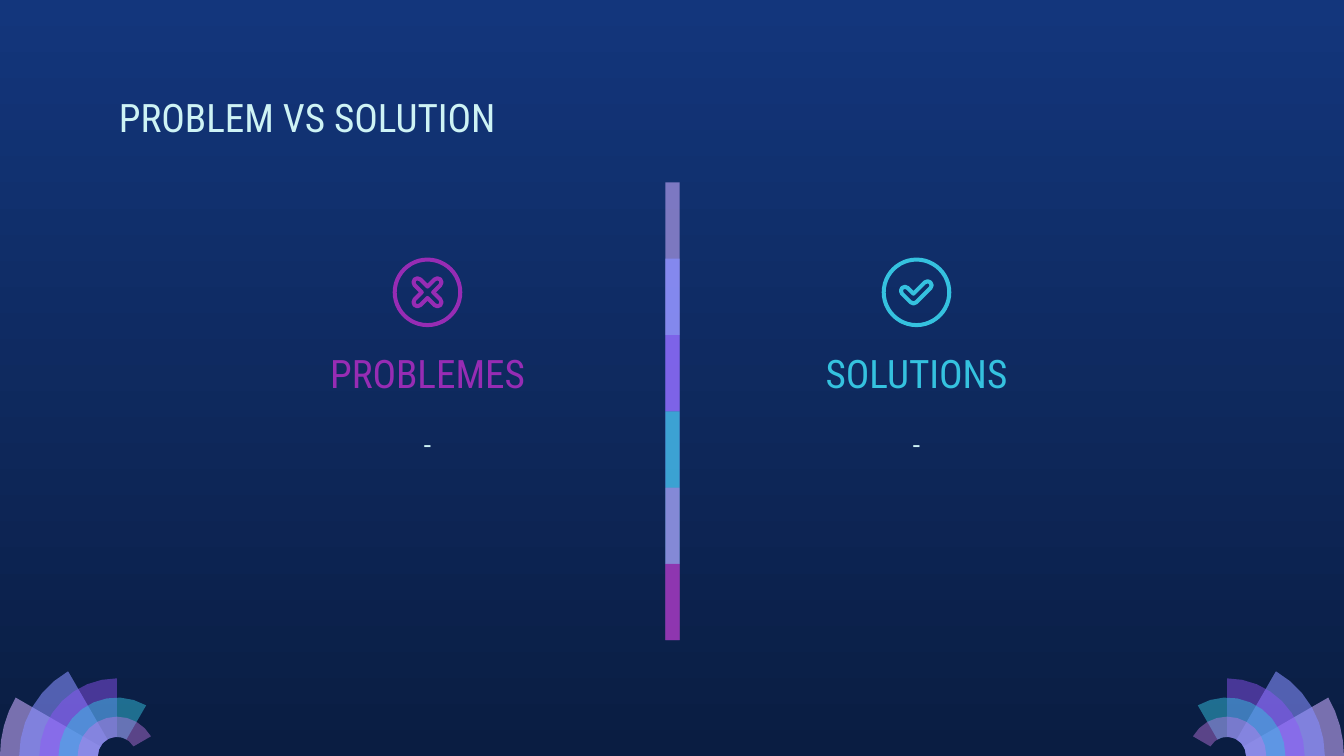
from dataclasses import dataclass
from math import acos, ceil, cos, degrees, radians, sin, sqrt

from lxml import etree
from pptx import Presentation
from pptx.dml.color import RGBColor
from pptx.enum.shapes import MSO_SHAPE
from pptx.enum.text import MSO_ANCHOR, PP_ALIGN
from pptx.oxml.ns import qn
from pptx.util import Inches, Pt

RECTANGLE, DONUT = MSO_SHAPE.RECTANGLE, MSO_SHAPE.DONUT
LEFT, CENTER = PP_ALIGN.LEFT, PP_ALIGN.CENTER
TOP = MSO_ANCHOR.TOP


@dataclass(frozen=True)
class Theme:
    night_top: str = "13367C"
    night_bottom: str = "0A1D42"
    pale: str = "CEF3F5"
    lilac: str = "C8ACFD"
    periwinkle: str = "878FFF"
    violet: str = "9154F8"
    cyan: str = "35C2DF"
    orchid: str = "CA7BEB"
    purple: str = "972CB4"
    heading_font: str = "Roboto Condensed"
    body_font: str = "Roboto"
    heading_size: float = 28
    body_size: float = 18.7


THEME = Theme()
SLIDE_WIDTH, SLIDE_HEIGHT = 13.33, 7.5
STROKE = 0.04
ICON_Y, ICON_SIZE = 2.9, 0.69
# Outer radius, sweep in degrees, colour, opacity in percent
PETALS = [
    (1.16, 30, THEME.lilac, 58),
    (0.97, 60, THEME.periwinkle, 58),
    (0.77, 90, THEME.violet, 46),
    (0.58, 120, THEME.cyan, 49),
    (0.39, 150, THEME.orchid, 42),
]
# Colour, opacity in percent
BANDS = [
    (THEME.lilac, 59),
    (THEME.periwinkle, 74),
    (THEME.violet, 53),
    (THEME.cyan, 76),
    (THEME.orchid, 56),
    (THEME.purple, 74),
]


def paint(shape, color, opacity=100):
    shape.shadow.inherit = False
    shape.line.fill.background()
    shape.fill.solid()
    shape.fill.fore_color.rgb = RGBColor.from_string(color)
    if opacity < 100:
        fill_color = shape.fill._xPr.find(qn("a:solidFill"))[0]
        etree.SubElement(fill_color, qn("a:alpha"), val=str(opacity * 1000))


def add_text(slide, text, left, top, width, height, *, color,
             size=THEME.heading_size, font=THEME.heading_font, align=CENTER):
    box = slide.shapes.add_textbox(Inches(left), Inches(top), Inches(width), Inches(height))
    frame = box.text_frame
    frame.word_wrap = True
    frame.vertical_anchor = TOP
    frame.margin_left = frame.margin_right = Inches(0.13)
    frame.margin_top = frame.margin_bottom = Inches(0.14)
    paragraph = frame.paragraphs[0]
    paragraph.alignment = align
    run = paragraph.add_run()
    run.text = text
    run.font.name = font
    run.font.size = Pt(size)
    run.font.color.rgb = RGBColor.from_string(color)


def polar(center_x, center_y, radius, angle):
    """Point on a circle; degrees run clockwise from the right."""
    return (center_x + radius * cos(radians(angle)),
            center_y + radius * sin(radians(angle)))


def arc(center_x, center_y, radius, start, end):
    """Just enough points to stay within 0.004 inch of the true arc."""
    widest_step = degrees(2 * acos(1 - 0.004 / radius))
    steps = ceil(abs(end - start) / widest_step)
    return [polar(center_x, center_y, radius, start + (end - start) * step / steps)
            for step in range(steps + 1)]


def add_polygon(slide, points):
    corners = [(Inches(x), Inches(y)) for x, y in points]
    builder = slide.shapes.build_freeform(*corners[0])
    builder.add_line_segments(corners[1:], close=True)
    return builder.convert_to_shape()


def add_fan(slide, center_x, start, direction):
    for radius, sweep, color, opacity in PETALS:
        end = start + direction * sweep
        outer = arc(center_x, SLIDE_HEIGHT, radius, start, end)
        inner = arc(center_x, SLIDE_HEIGHT, 0.19, end, start)
        paint(add_polygon(slide, outer + inner), color, opacity)


def add_divider(slide):
    step = 0.757
    for index, (color, opacity) in enumerate(BANDS):
        height = step if index == len(BANDS) - 1 else 2 * step
        band = slide.shapes.add_shape(RECTANGLE, Inches(6.6), Inches(1.81 + index * step),
                                      Inches(0.14), Inches(height))
        paint(band, color, opacity)


def cross_points(center_x):
    points = []
    for angle in range(45, 405, 90):
        tip = polar(center_x, ICON_Y, 0.14, angle)
        points += arc(*tip, STROKE, angle - 90, angle + 90)
        points.append(polar(center_x, ICON_Y, STROKE * sqrt(2), angle + 45))
    return points


def check_points(center_x):
    x, y = center_x - 0.03, ICON_Y + 0.07
    return (arc(x - 0.085, y - 0.085, STROKE, 135, 315)
            + [(x, y - STROKE * sqrt(2))]
            + arc(x + 0.14, y - 0.14, STROKE, 225, 405)
            + arc(x, y, STROKE, 45, 135))


def add_icon(slide, center_x, symbol_points, color):
    ring = slide.shapes.add_shape(DONUT, Inches(center_x - ICON_SIZE / 2),
                                  Inches(ICON_Y - ICON_SIZE / 2),
                                  Inches(ICON_SIZE), Inches(ICON_SIZE))
    ring.adjustments[0] = STROKE / ICON_SIZE
    paint(ring, color)
    symbol = add_polygon(slide, symbol_points(center_x))
    symbol.shadow.inherit = False
    symbol.fill.background()
    symbol.line.color.rgb = RGBColor.from_string(color)
    symbol.line.width = Inches(STROKE)
    etree.SubElement(symbol.line._get_or_add_ln(), qn("a:round"))


def add_column(slide, heading, center_x, symbol_points, color):
    width = 3.13
    left = center_x - width / 2
    add_icon(slide, center_x, symbol_points, color)
    add_text(slide, heading, left, 3.33, width, 0.84, color=color)
    add_text(slide, "-", left, 4.11, width, 1.5, color=THEME.pale,
             size=THEME.body_size, font=THEME.body_font)


def set_background(slide):
    fill = slide.background.fill
    fill.gradient()
    fill.gradient_angle = 270
    for stop, color in zip(fill.gradient_stops, (THEME.night_top, THEME.night_bottom)):
        stop.color.rgb = RGBColor.from_string(color)


def main():
    presentation = Presentation()
    presentation.slide_width = Inches(SLIDE_WIDTH)
    presentation.slide_height = Inches(SLIDE_HEIGHT)
    slide = presentation.slides.add_slide(presentation.slide_layouts[6])
    set_background(slide)
    add_fan(slide, 1.16, 180, 1)
    add_fan(slide, SLIDE_WIDTH - 1.16, 360, -1)
    add_divider(slide)
    add_text(slide, "PROBLEM VS SOLUTION", 1.05, 0.79, 11.23, 0.84,
             color=THEME.pale, align=LEFT)
    add_column(slide, "PROBLEMES", 4.24, cross_points, THEME.purple)
    add_column(slide, "SOLUTIONS", 9.09, check_points, THEME.cyan)
    presentation.save("out.pptx")


if __name__ == "__main__":
    main()
